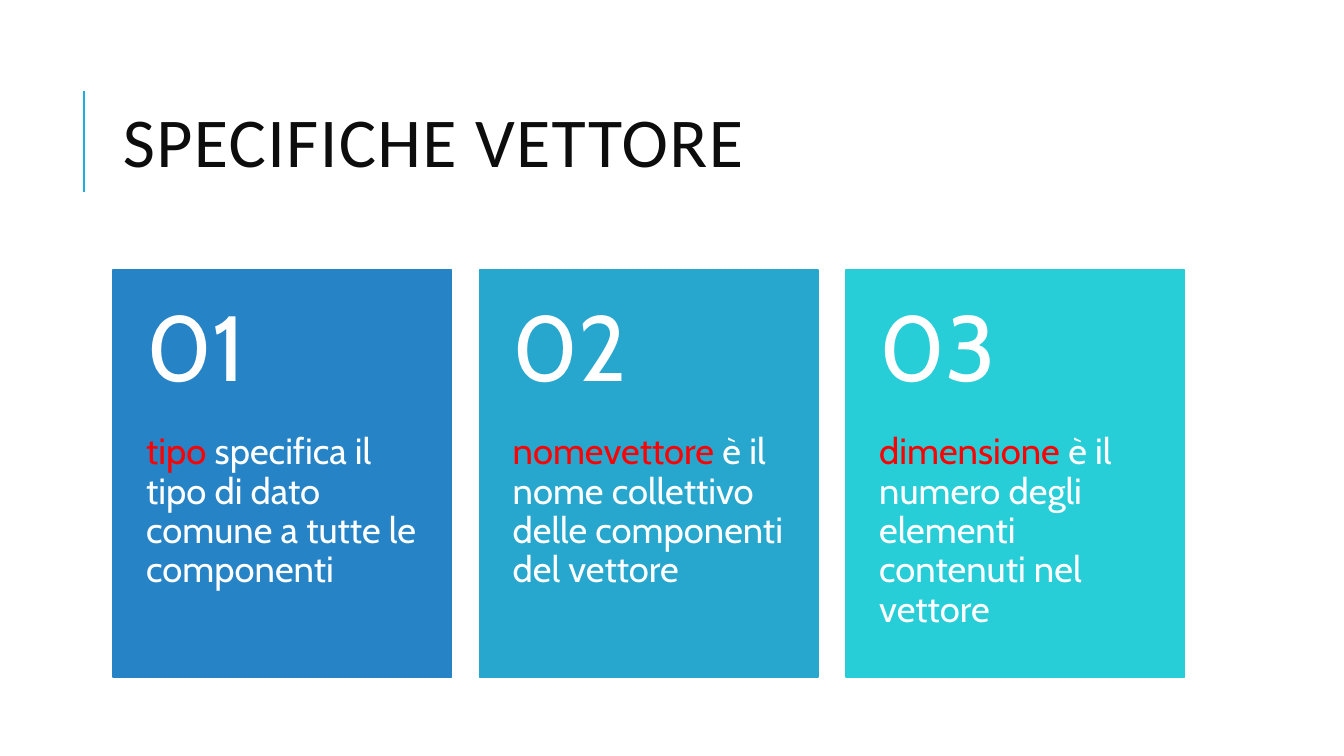
from lxml import etree
from pptx import Presentation
from pptx.dml.color import RGBColor
from pptx.enum.shapes import MSO_CONNECTOR, MSO_SHAPE
from pptx.enum.text import MSO_ANCHOR
from pptx.oxml.ns import qn
from pptx.util import Inches, Pt

WHITE = RGBColor(0xFF, 0xFF, 0xFF)
INK = RGBColor(0x0D, 0x0D, 0x0D)
RED = RGBColor(0xFF, 0x00, 0x00)
ACCENT = RGBColor(0x1C, 0xAD, 0xE4)
BLUE = RGBColor(0x26, 0x83, 0xC6)
TEAL = RGBColor(0x27, 0xA7, 0xCE)
CYAN = RGBColor(0x27, 0xCE, 0xD7)

LEFT, TOP = 1.12, 2.68
CARD_WIDTH, CARD_HEIGHT, CARD_STEP = 3.36, 4.04, 3.635
NUMBER_HEIGHT = 1.62

cards = [
    (BLUE, "tipo", " specifica il tipo di dato comune a tutte le componenti"),
    (TEAL, "nomevettore", " è il nome collettivo delle componenti del vettore"),
    (CYAN, "dimensione", " è il numero degli elementi contenuti nel vettore"),
]


def add_text(left, top, width, height, spans, font_name, size, spacing, anchor, insets):
    box = page.shapes.add_textbox(Inches(left), Inches(top), Inches(width), Inches(height))
    frame = box.text_frame
    frame.word_wrap = True
    frame.vertical_anchor = anchor
    side, above, below = insets
    frame.margin_left = frame.margin_right = Inches(side)
    frame.margin_top, frame.margin_bottom = Inches(above), Inches(below)
    para = frame.paragraphs[0]
    para.line_spacing = spacing
    para.font.name = font_name
    para.font.size = Pt(size)
    for text, color in spans:
        span = para.add_run()
        span.text = text
        span.font.color.rgb = color
    return para


deck = Presentation()
deck.slide_width, deck.slide_height = Inches(13.33), Inches(7.5)
page = deck.slides.add_slide(deck.slide_layouts[6])

rule = page.shapes.add_connector(
    MSO_CONNECTOR.STRAIGHT, Inches(0.83), Inches(1.9), Inches(0.83), Inches(0.9)
)
rule.line.color.rgb = ACCENT
rule.line.width = Pt(1.5)
etree.SubElement(rule._element.spPr, qn("a:effectLst"))

title = add_text(LEFT, 0.64, 10.63, 1.64, [("SPECIFICHE VETTORE", INK)],
                 "Calibri", 50, 0.8, MSO_ANCHOR.MIDDLE, (0.1, 0.05, 0.05))
title.runs[0].font._element.set("spc", "100")

for index, (color, term, definition) in enumerate(cards):
    left = LEFT + index * CARD_STEP
    card = page.shapes.add_shape(
        MSO_SHAPE.RECTANGLE, Inches(left), Inches(TOP), Inches(CARD_WIDTH), Inches(CARD_HEIGHT)
    )
    card.shadow.inherit = False
    card.fill.solid()
    card.fill.fore_color.rgb = color
    card.line.color.rgb = color
    card.line.width = Pt(1.25)

    add_text(left, TOP + NUMBER_HEIGHT, CARD_WIDTH, CARD_HEIGHT - NUMBER_HEIGHT,
             [(term, RED), (definition, WHITE)],
             "Cabin", 26, 0.9, MSO_ANCHOR.TOP, (0.33, 0, 0.36))
    add_text(left, TOP, CARD_WIDTH, NUMBER_HEIGHT, [(f"{index + 1:02d}", WHITE)],
             "Cabin", 66, 0.9, MSO_ANCHOR.MIDDLE, (0.33, 0.18, 0.18))

deck.save("out.pptx")
